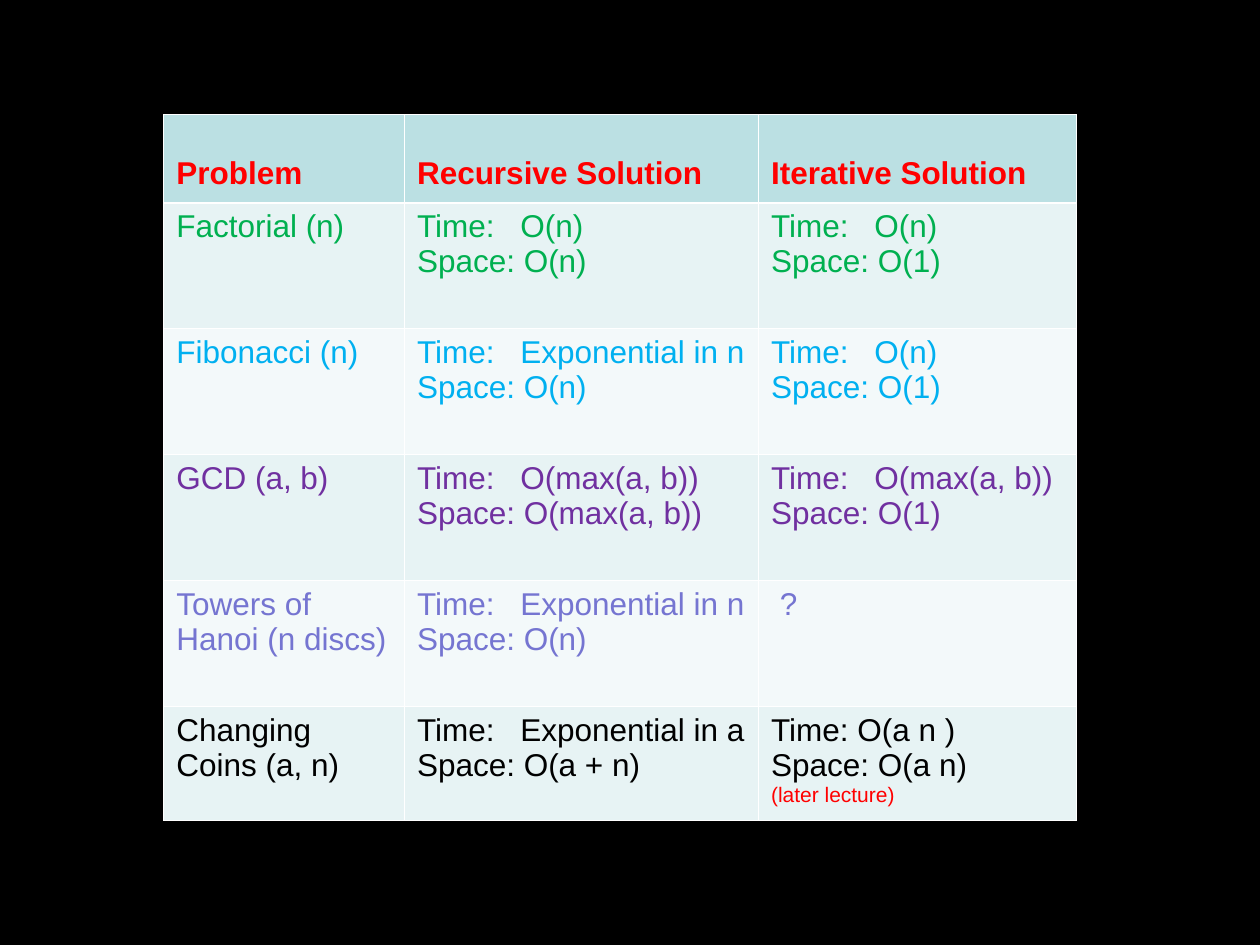
"""Build a slide that compares recursive and iterative solution costs."""

from typing import NamedTuple

from lxml.etree import SubElement
from pptx import Presentation
from pptx.dml.color import RGBColor
from pptx.enum.text import MSO_ANCHOR
from pptx.oxml.ns import qn
from pptx.util import Inches, Pt

BLACK = RGBColor(0x00, 0x00, 0x00)
WHITE = RGBColor(0xFF, 0xFF, 0xFF)
RED = RGBColor(0xFF, 0x00, 0x00)
GREEN = RGBColor(0x00, 0xB0, 0x50)
SKY = RGBColor(0x00, 0xB0, 0xF0)
PURPLE = RGBColor(0x70, 0x30, 0xA0)
LAVENDER = RGBColor(0x75, 0x75, 0xD1)
HEADER_FILL = RGBColor(0xBB, 0xE0, 0xE3)
BAND_FILLS = (RGBColor(0xF3, 0xF9, 0xFA), RGBColor(0xE7, 0xF3, 0xF4))

THIN, THICK = Pt(0.45), Pt(1.47)
COST_TAB = Inches(0.82)
COLUMN_WIDTHS = (1.91, 2.81, 2.52)
ROW_HEIGHTS = (0.7, 1, 1, 1, 1, 0.9)
LATER_NOTE = "(later lecture)"

BODY_FORMAT = {"vertical_anchor": MSO_ANCHOR.TOP, "margin_bottom": Inches(0.05)}
HEADER_FORMAT = {"vertical_anchor": MSO_ANCHOR.BOTTOM, "margin_bottom": Inches(0.09)}


class Comparison(NamedTuple):
    """One table row: its text colour and the lines of each cell."""

    color: RGBColor
    problem: tuple[str, ...]
    recursive: tuple[str, ...]
    iterative: tuple[str, ...]


COMPARISONS = (
    Comparison(RED, ("Problem",), ("Recursive Solution",), ("Iterative Solution",)),
    Comparison(GREEN, ("Factorial (n)",),
               ("Time:\tO(n)", "Space: O(n)"), ("Time:\tO(n)", "Space: O(1)")),
    Comparison(SKY, ("Fibonacci (n)",),
               ("Time:\tExponential in n", "Space: O(n)"), ("Time:\tO(n)", "Space: O(1)")),
    Comparison(PURPLE, ("GCD (a, b)",),
               ("Time:\tO(max(a, b))", "Space: O(max(a, b))"),
               ("Time:\tO(max(a, b))", "Space: O(1)")),
    Comparison(LAVENDER, ("Towers of Hanoi (n discs)",),
               ("Time:\tExponential in n", "Space: O(n)"), (" ?",)),
    Comparison(BLACK, ("Changing Coins (a, n)",),
               ("Time:\tExponential in a", "Space: O(a + n)"),
               ("Time: O(a n )", "Space: O(a n)", LATER_NOTE)),
)


def add_border(cell, side: str, width: int) -> None:
    """Draw one white edge of a cell."""
    edge = SubElement(cell._tc.get_or_add_tcPr(), qn(f"a:ln{side}"), w=str(int(width)))
    SubElement(SubElement(edge, qn("a:solidFill")), qn("a:srgbClr"), val=str(WHITE))


def write_line(paragraph, line: str, color: RGBColor, bold: bool) -> None:
    """Write one line of a cell, with a tab stop where a cost is aligned."""
    if "\t" in line:
        stops = SubElement(paragraph._p.get_or_add_pPr(), qn("a:tabLst"))
        SubElement(stops, qn("a:tab"), pos=str(int(COST_TAB)), algn="l")
    run = paragraph.add_run()
    run.text = line
    is_note = line == LATER_NOTE
    font_format = {"name": "Arial", "size": Pt(12 if is_note else 18), "bold": bold}
    for attribute, value in font_format.items():
        setattr(run.font, attribute, value)
    run.font.color.rgb = RED if is_note else color


def fill_cell(cell, lines: tuple[str, ...], color: RGBColor, row: int) -> None:
    """Style a cell by its row and write its lines."""
    is_header = row == 0
    for attribute, value in (HEADER_FORMAT if is_header else BODY_FORMAT).items():
        setattr(cell, attribute, value)
    widths = {"L": THIN, "R": THIN,
              "T": THICK if row == 1 else THIN, "B": THICK if is_header else THIN}
    for side, width in widths.items():
        add_border(cell, side, width)
    cell.fill.solid()
    cell.fill.fore_color.rgb = HEADER_FILL if is_header else BAND_FILLS[row % 2]
    frame = cell.text_frame
    for index, line in enumerate(lines):
        paragraph = frame.add_paragraph() if index else frame.paragraphs[0]
        write_line(paragraph, line, color, is_header)


def main() -> None:
    """Build and save the slide."""
    deck = Presentation()
    deck.slide_width, deck.slide_height = Inches(10), Inches(7.5)
    slide = deck.slides.add_slide(deck.slide_layouts[6])
    slide.background.fill.solid()
    slide.background.fill.fore_color.rgb = BLACK
    costs = slide.shapes.add_table(
        len(ROW_HEIGHTS), len(COLUMN_WIDTHS), Inches(1.3), Inches(0.91),
        Inches(sum(COLUMN_WIDTHS)), Inches(sum(ROW_HEIGHTS))).table
    for column, width in zip(costs.columns, COLUMN_WIDTHS):
        column.width = Inches(width)
    for row, (height, comparison) in enumerate(zip(ROW_HEIGHTS, COMPARISONS)):
        costs.rows[row].height = Inches(height)
        color, *contents = comparison
        for column, lines in enumerate(contents):
            fill_cell(costs.cell(row, column), lines, color, row)
    deck.save("out.pptx")


if __name__ == "__main__":
    main()
